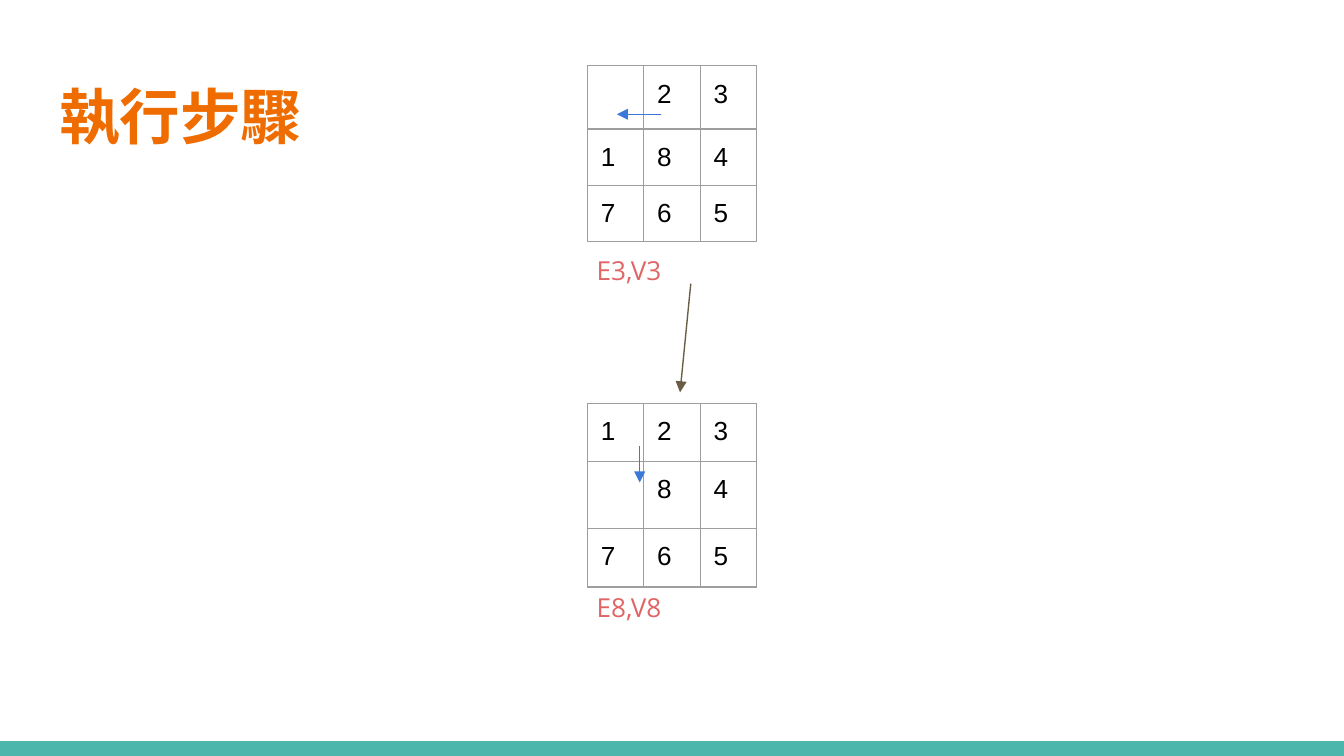
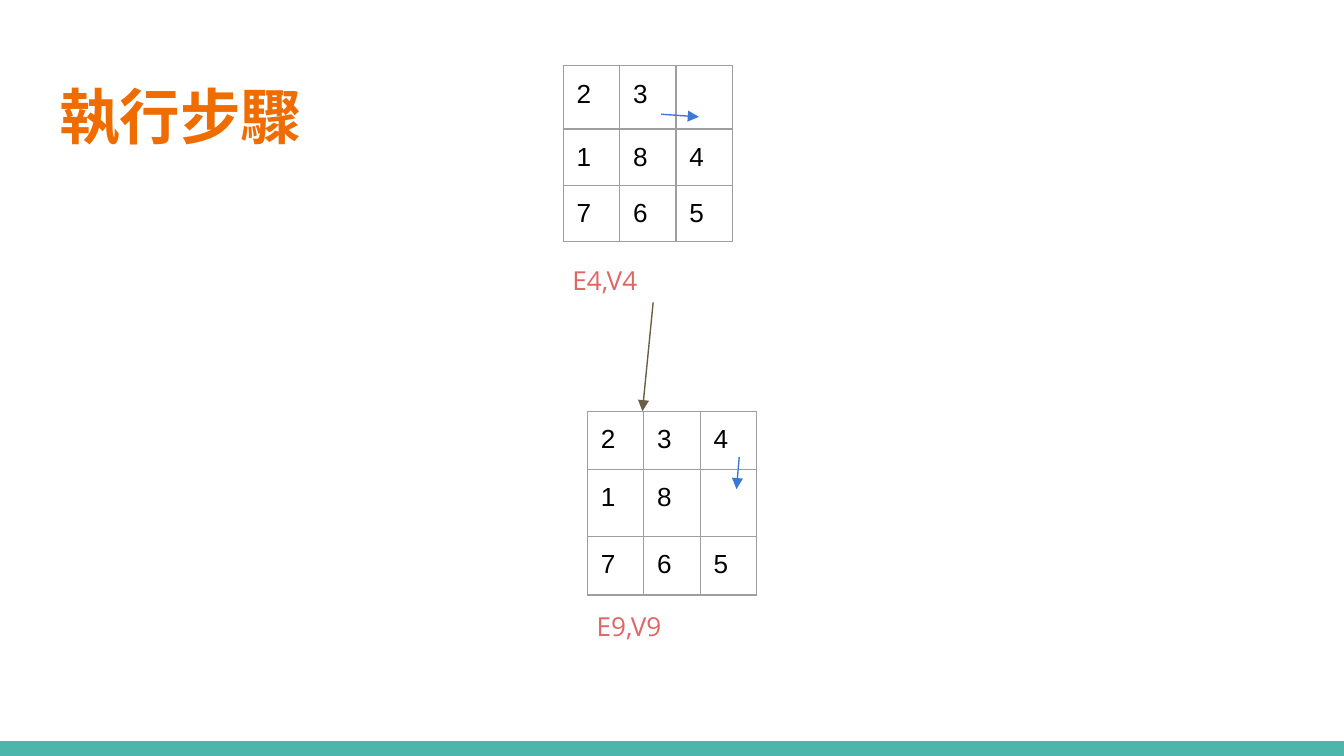
from dataclasses import dataclass

from lxml.etree import SubElement
from pptx import Presentation
from pptx.dml.color import RGBColor
from pptx.enum.shapes import MSO_CONNECTOR as Connector, MSO_SHAPE as Preset
from pptx.enum.text import MSO_ANCHOR as Anchor, PP_ALIGN as Align
from pptx.oxml.ns import qn
from pptx.slide import Slide, SlideLayout
from pptx.text.text import TextFrame
from pptx.util import Inches, Pt

TEAL = RGBColor(0x4D, 0xB6, 0xAC)
ORANGE = RGBColor(0xEF, 0x6C, 0x00)
GRAY = RGBColor(0x9E, 0x9E, 0x9E)
BLACK = RGBColor(0x00, 0x00, 0x00)
CORAL = RGBColor(0xE0, 0x66, 0x66)
BLUE = RGBColor(0x3C, 0x78, 0xD8)
BROWN = RGBColor(0x69, 0x5D, 0x46)

SLIDE_WIDTH = Inches(10)
SLIDE_HEIGHT = SLIDE_WIDTH * 9 // 16
TITLE = "執行步驟"
COLUMN_WIDTH = 0.42
TOP_ROWS = (0.47, 0.42, 0.42)
BOTTOM_ROWS = (0.43, 0.5, 0.43)
LABEL_INDENT = 0.03
LINE_WIDTH = Pt(0.75)


@dataclass(frozen=True)
class Arrow:
    start: tuple[float, float]
    end: tuple[float, float]
    color: RGBColor = BLUE


@dataclass(frozen=True)
class Puzzle:
    left: float
    top: float
    row_heights: tuple[float, ...]
    tiles: tuple[str, ...]
    label: str
    label_top: float
    move: Arrow


@dataclass(frozen=True)
class Step:
    title_width: float
    before: Puzzle
    after: Puzzle
    transition: Arrow


STEPS = (
    Step(
        2.66,
        Puzzle(4.37, 0.49, TOP_ROWS, (" 23", "184", "765"), "E3,V3", 1.79,
               Arrow((4.92, 0.85), (4.59, 0.85))),
        Puzzle(4.37, 3, BOTTOM_ROWS, ("123", " 84", "765"), "E8,V8", 4.3,
               Arrow((4.76, 3.32), (4.76, 3.59))),
        Arrow((5.14, 2.11), (5.06, 2.92), BROWN),
    ),
    Step(
        2.84,
        Puzzle(4.19, 0.49, TOP_ROWS, ("23 ", "184", "765"), "E4,V4", 1.87,
               Arrow((4.92, 0.85), (5.2, 0.87))),
        Puzzle(4.37, 3.06, BOTTOM_ROWS, ("234", "18 ", "765"), "E9,V9", 4.44,
               Arrow((5.5, 3.4), (5.48, 3.64))),
        Arrow((4.86, 2.25), (4.78, 3.06), BROWN),
    ),
)


def write(frame: TextFrame, text: str, font: str, size: float,
          color: RGBColor, bold: bool = False) -> None:
    frame.margin_left = frame.margin_right = Inches(0.1)
    frame.margin_top = frame.margin_bottom = Inches(0.1)
    paragraph = frame.paragraphs[0]
    paragraph.alignment = Align.LEFT
    run = paragraph.add_run()
    run.text = text
    run.font.name = font
    run.font.size = Pt(size)
    run.font.bold = bold
    run.font.color.rgb = color


def add_footer_band(slide: Slide, layout: SlideLayout) -> None:
    height = Inches(0.11)
    band = slide.shapes.add_shape(
        Preset.RECTANGLE, 0, SLIDE_HEIGHT - height, SLIDE_WIDTH, height)
    band.shadow.inherit = False
    band.fill.solid()
    band.fill.fore_color.rgb = TEAL
    band.line.fill.background()
    band.element.nvSpPr.cNvPr.set("id", "100")
    layout.shapes.element.insert(2, band.element)


def add_title(slide: Slide, width: float) -> None:
    title = slide.shapes.title
    title.left, title.top = Inches(0.34), Inches(0.49)
    title.width, title.height = Inches(width), Inches(0.77)
    title.text_frame.vertical_anchor = Anchor.MIDDLE
    write(title.text_frame, TITLE, "Arial Narrow", 32.4, ORANGE, True)
    title.text_frame.margin_bottom = Inches(0.13)


def add_arrow(slide: Slide, arrow: Arrow) -> None:
    points = [Inches(value) for value in arrow.start + arrow.end]
    connector = slide.shapes.add_connector(Connector.STRAIGHT, *points)
    connector.line.color.rgb = arrow.color
    connector.line.width = LINE_WIDTH
    properties = connector.element.spPr
    SubElement(properties.find(qn("a:ln")), qn("a:tailEnd"), type="triangle")
    SubElement(properties, qn("a:effectLst"))


def add_puzzle(slide: Slide, puzzle: Puzzle) -> None:
    columns = len(puzzle.tiles[0])
    grid = slide.shapes.add_table(
        len(puzzle.tiles), columns, Inches(puzzle.left), Inches(puzzle.top),
        Inches(columns * COLUMN_WIDTH), Inches(sum(puzzle.row_heights))).table
    grid.first_row = grid.horz_banding = False
    for column in grid.columns:
        column.width = Inches(COLUMN_WIDTH)
    for row, height, tiles in zip(grid.rows, puzzle.row_heights, puzzle.tiles):
        row.height = Inches(height)
        for cell, tile in zip(row.cells, tiles):
            cell.margin_left = cell.margin_right = Inches(0.1)
            cell.margin_top = cell.margin_bottom = Inches(0.1)
            if tile.strip():
                write(cell.text_frame, tile, "Arial", 14, BLACK)
            else:
                paragraph = cell.text_frame.paragraphs[0]
                SubElement(paragraph._p, qn("a:endParaRPr"), sz="1400")
            properties = cell._tc.get_or_add_tcPr()
            for side in ("lnL", "lnR", "lnT", "lnB"):
                border = SubElement(properties, qn(f"a:{side}"), w=str(LINE_WIDTH))
                fill = SubElement(border, qn("a:solidFill"))
                SubElement(fill, qn("a:srgbClr"), val=str(GRAY))
            cell.fill.background()
    label = slide.shapes.add_textbox(
        Inches(puzzle.left - LABEL_INDENT), Inches(puzzle.label_top),
        Inches(1.32), Inches(0.44))
    label.text_frame.word_wrap = True
    write(label.text_frame, puzzle.label, "Open Sans", 14, CORAL)
    add_arrow(slide, puzzle.move)


def main() -> None:
    deck = Presentation()
    deck.slide_width, deck.slide_height = SLIDE_WIDTH, SLIDE_HEIGHT
    layout = deck.slide_layouts.get_by_name("Title Only")
    for number, step in enumerate(STEPS):
        slide = deck.slides.add_slide(layout)
        if number == 0:
            add_footer_band(slide, layout)
        add_title(slide, step.title_width)
        add_puzzle(slide, step.before)
        add_arrow(slide, step.transition)
        add_puzzle(slide, step.after)
    deck.save("out.pptx")


if __name__ == "__main__":
    main()
